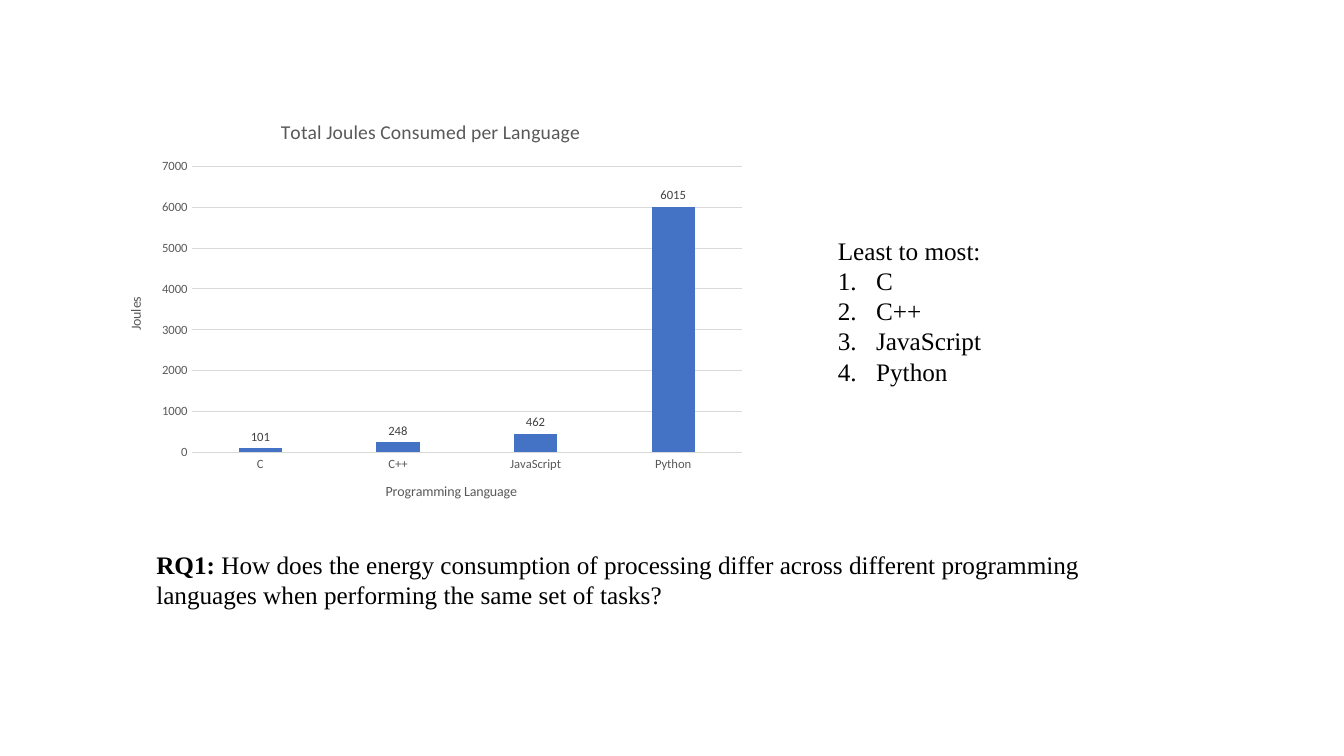
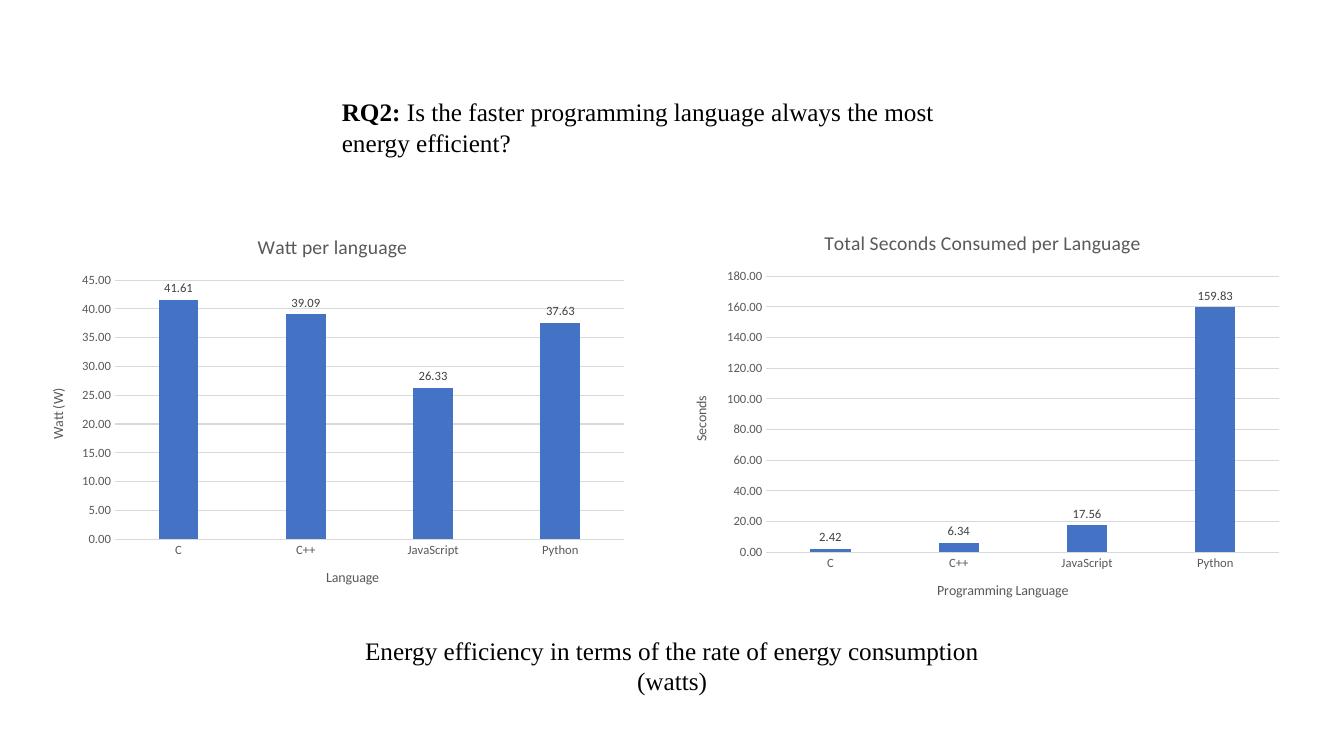
from lxml import etree
from pptx import Presentation
from pptx import util as u
from pptx.chart.data import CategoryChartData
from pptx.dml.color import RGBColor
from pptx.enum import chart as ch, text
from pptx.oxml.ns import qn

COLORS = {"text": "000000", "bar": "4472C4", "axis": "595959",
          "label": "404040", "grid": "D9D9D9"}
BODY_FONT, CHART_FONT = "Times New Roman", "Calibri"
LANGUAGES = ["C", "C++", "JavaScript", "Python"]

SLIDES = [
    {"layout": 1,
     "question": ("RQ1:", " How does the energy consumption of processing differ across "
                  "different programming languages when performing the same set of tasks?"),
     "question_box": (1.45, 5.4, 10.01, 0.71),
     "ranking": ("Least to most:", LANGUAGES),
     "ranking_box": (8.21, 2.28, 3.43, 1.62),
     "charts": [
         {"title": "Total Joules Consumed per Language", "title_at": (2.75, 1.14),
          "category": "Programming Language", "category_at": (3.8, 4.76),
          "value": "Joules", "value_at": (1.23, 2.92),
          "box": (1.05, 1.02, 6.43, 4.16), "plot": (1.9, 1.65, 5.46, 2.84),
          "values": [101, 248, 462, 6015], "format": "0", "top": 7000, "step": 1000}]},
    {"layout": 5,
     "question": ("RQ2:", " Is the faster programming language always the most energy efficient?"),
     "question_box": (3.29, 0.91, 6.75, 1.01),
     "caption": "Energy efficiency in terms of the rate of energy consumption (watts)",
     "caption_box": (3.29, 6.25, 6.75, 0.71),
     "charts": [
         {"title": "Watt per language", "title_at": (2.52, 2.28),
          "category": "Language", "category_at": (3.21, 5.61),
          "value": "Watt (W)", "value_at": (0.46, 3.83),
          "box": (0.28, 2.14, 6.03, 3.88), "plot": (1.14, 2.78, 5.05, 2.57),
          "values": [41.61, 39.09, 26.33, 37.63], "format": "0.00", "top": 45, "step": 5},
         {"title": "Total Seconds Consumed per Language", "title_at": (8.14, 2.24),
          "category": "Programming Language", "category_at": (9.27, 5.74),
          "value": "Seconds", "value_at": (6.84, 3.9),
          "box": (6.67, 2.12, 6.15, 4.05), "plot": (7.6, 2.74, 5.09, 2.74),
          "values": [2.42, 6.34, 17.56, 159.83], "format": "0.00", "top": 180, "step": 20}]},
]


def rgb(name):
    return RGBColor.from_string(COLORS[name])


def style(font, size, color, name, bold=False):
    font.size, font.name, font.bold = u.Pt(size), name, bold
    font.color.rgb = rgb(color)


def place(shape, box):
    shape.left, shape.top, shape.width, shape.height = map(u.Inches, box)
    frame = shape.text_frame
    frame.word_wrap = True
    frame.auto_size = text.MSO_AUTO_SIZE.NONE
    frame.vertical_anchor = text.MSO_ANCHOR.TOP
    return frame


def write(paragraph, words, bold=False, align=text.PP_ALIGN.LEFT):
    paragraph.alignment = align
    paragraph.space_before = u.Pt(0)
    run = paragraph.add_run()
    run.text = words
    style(run.font, 18, "text", BODY_FONT, bold)


def add_ranking(body, box, heading, items):
    frame = place(body, box)
    for index, words in enumerate([heading, *items]):
        paragraph = frame.add_paragraph() if index else frame.paragraphs[0]
        write(paragraph, words)
        props = paragraph._p.get_or_add_pPr()
        indent = u.Inches(0.38) if index else 0
        props.set("marL", str(indent))
        props.set("indent", str(-indent))
        if index:
            etree.SubElement(props, qn("a:buFont"), typeface="+mj-lt")
            etree.SubElement(props, qn("a:buAutoNum"), type="arabicPeriod")
        else:
            etree.SubElement(props, qn("a:buNone"))


def set_layout(element, index, box, area):
    for old in element.findall(qn("c:layout")):
        element.remove(old)
    layout = etree.Element(qn("c:layout"))
    element.insert(index, layout)
    manual = etree.SubElement(layout, qn("c:manualLayout"))
    left, top, width, height = box
    parts = {"xMode": "edge", "yMode": "edge",
             "x": (area[0] - left) / width, "y": (area[1] - top) / height}
    if len(area) == 4:
        parts = {"layoutTarget": "inner", **parts,
                 "w": area[2] / width, "h": area[3] / height}
    for tag, value in parts.items():
        etree.SubElement(manual, qn("c:" + tag), val=str(value))


def set_title(title, words, size, box, at):
    run = title.text_frame.paragraphs[0].add_run()
    run.text = words
    style(run.font, size, "axis", CHART_FONT)
    set_layout(title._element, 1, box, at)


def add_column_chart(slide, info):
    data = CategoryChartData(number_format=info["format"])
    data.categories = LANGUAGES
    data.add_series("Series 1", info["values"])
    box = info["box"]
    chart = slide.shapes.add_chart(ch.XL_CHART_TYPE.COLUMN_CLUSTERED,
                                   *map(u.Inches, box), data).chart
    style(chart.font, 10, "text", CHART_FONT)
    chart.has_legend = False
    chart.has_title = True
    set_title(chart.chart_title, info["title"], 14, box, info["title_at"])
    for axis, key in ((chart.category_axis, "category"), (chart.value_axis, "value")):
        axis.has_title = True
        set_title(axis.axis_title, info[key], 10, box, info[key + "_at"])
        axis.major_tick_mark = axis.minor_tick_mark = ch.XL_TICK_MARK.NONE
        style(axis.tick_labels.font, 9, "axis", CHART_FONT)

    values = chart.value_axis
    values.minimum_scale, values.maximum_scale = 0, info["top"]
    values.major_unit = info["step"]
    values.tick_labels.number_format = info["format"]
    values.tick_labels.number_format_is_linked = False
    values.format.line.fill.background()
    values.has_major_gridlines = True
    for line in (values.major_gridlines.format.line, chart.category_axis.format.line):
        line.color.rgb = rgb("grid")
        line.width = u.Pt(0.75)

    plot = chart.plots[0]
    plot.gap_width, plot.overlap, plot.vary_by_categories = 219, -27, False
    bars = plot.series[0]
    bars.format.fill.solid()
    bars.format.fill.fore_color.rgb = rgb("bar")
    labels = bars.data_labels
    labels.show_value = True
    labels.position = ch.XL_LABEL_POSITION.OUTSIDE_END
    labels.number_format, labels.number_format_is_linked = info["format"], False
    style(labels.font, 9, "label", CHART_FONT)
    set_layout(chart._chartSpace.find(".//" + qn("c:plotArea")), 0, box, info["plot"])


def add_slide(deck, content):
    slide = deck.slides.add_slide(deck.slide_layouts[content["layout"]])
    question = place(slide.shapes.title, content["question_box"]).paragraphs[0]
    tag, words = content["question"]
    write(question, tag, bold=True)
    write(question, words)
    if "ranking" in content:
        add_ranking(slide.placeholders[1], content["ranking_box"], *content["ranking"])
    if "caption" in content:
        box = content["caption_box"]
        caption = place(slide.shapes.add_textbox(*map(u.Inches, box)), box)
        write(caption.paragraphs[0], content["caption"], align=text.PP_ALIGN.CENTER)
    for info in content["charts"]:
        add_column_chart(slide, info)


def main():
    deck = Presentation()
    deck.slide_width, deck.slide_height = u.Inches(13.33), u.Inches(7.5)
    for content in SLIDES:
        add_slide(deck, content)
    deck.save("out.pptx")


if __name__ == "__main__":
    main()
